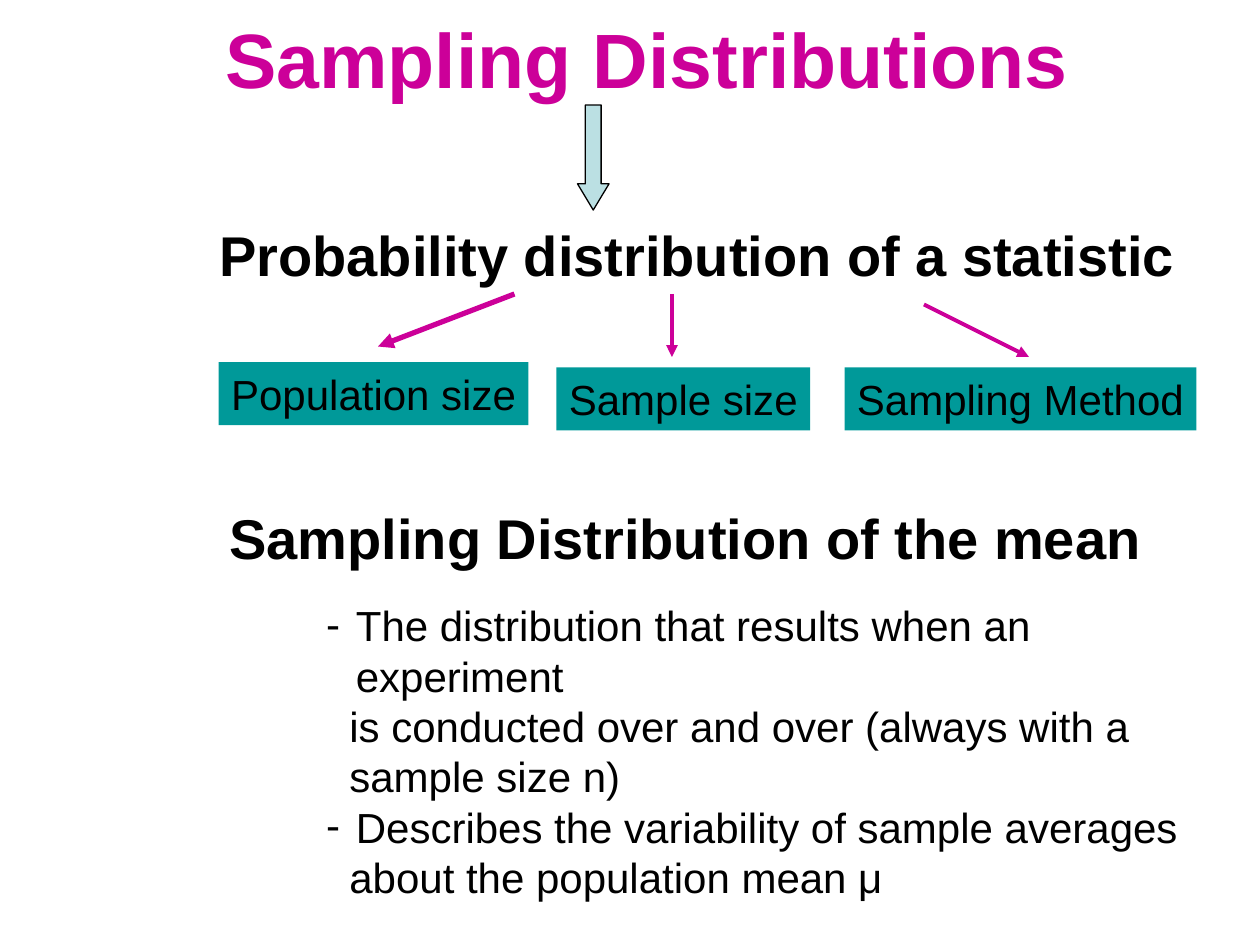
from lxml import etree
from pptx import Presentation
from pptx.dml.color import RGBColor
from pptx.enum.shapes import MSO_CONNECTOR, MSO_SHAPE
from pptx.enum.text import MSO_ANCHOR, MSO_AUTO_SIZE, PP_ALIGN
from pptx.oxml.ns import qn
from pptx.util import Pt

DOWN_ARROW, RECTANGLE = MSO_SHAPE.DOWN_ARROW, MSO_SHAPE.RECTANGLE
STRAIGHT = MSO_CONNECTOR.STRAIGHT
TOP, MIDDLE = MSO_ANCHOR.TOP, MSO_ANCHOR.MIDDLE
FIT_SHAPE = MSO_AUTO_SIZE.SHAPE_TO_FIT_TEXT
LEFT = PP_ALIGN.LEFT

COLORS = {
    "magenta": "CC0099",
    "teal": "009999",
    "pale": "BBE0E3",
    "black": "000000",
}


def color(name):
    return RGBColor.from_string(COLORS[name])


def write_line(paragraph, text, size, bold=False, color_name="black"):
    paragraph.text = text
    paragraph.alignment = LEFT
    paragraph.line_spacing = Pt(size * 1.2)
    font_format = {"name": "Arial", "size": Pt(size), "bold": bold}
    for attribute, value in font_format.items():
        setattr(paragraph.font, attribute, value)
    paragraph.font.color.rgb = color(color_name)


presentation = Presentation()
presentation.slide_width, presentation.slide_height = Pt(720), Pt(540)
slide = presentation.slides.add_slide(presentation.slide_layouts[6])
shapes = slide.shapes

# Title
title = shapes.add_textbox(Pt(36), Pt(0), Pt(660), Pt(66))
title_format = {"word_wrap": True, "vertical_anchor": MIDDLE, "margin_left": Pt(92.8)}
for attribute, value in title_format.items():
    setattr(title.text_frame, attribute, value)
write_line(title.text_frame.paragraphs[0], "Sampling Distributions", 44, True, "magenta")

# Headings
headings = [
    ("Probability distribution of a statistic", 118.2, 122.4, 561),
    ("Sampling Distribution of the mean", 124, 284.4, 536),
]
for text, left, top, width in headings:
    heading = shapes.add_textbox(Pt(left), Pt(top), Pt(width), Pt(46))
    heading.text_frame.word_wrap = False
    write_line(heading.text_frame.paragraphs[0], text, 32, True)

# Block arrow from the title to the first heading
block_arrow = shapes.add_shape(DOWN_ARROW, Pt(330), Pt(60), Pt(18), Pt(60))
block_arrow.shadow.inherit = False
block_arrow.adjustments[0] = 0.5
block_arrow.adjustments[1] = 0.83
block_arrow.fill.solid()
block_arrow.fill.fore_color.rgb = color("pale")
block_arrow.line.color.rgb = color("black")
block_arrow.line.width = Pt(0.75)

# Factors that the distribution depends on
factors = [
    ("Population size", 125, 207, 177),
    ("Sample size", 318, 210, 145),
    ("Sampling Method", 482.6, 210, 201),
]
for text, left, top, width in factors:
    factor = shapes.add_shape(RECTANGLE, Pt(left), Pt(top), Pt(width), Pt(36))
    factor.shadow.inherit = False
    factor.fill.solid()
    factor.fill.fore_color.rgb = color("teal")
    factor.line.fill.background()
    factor.text_frame.word_wrap = False
    factor.text_frame.vertical_anchor = MIDDLE
    write_line(factor.text_frame.paragraphs[0], text, 24)

# Arrows to the factors
arrows = [
    (294, 168, 216, 198, 3),
    (384, 168, 384, 204, 2.25),
    (528, 174, 588, 204, 2.25),
]
for start_x, start_y, end_x, end_y, weight in arrows:
    arrow = shapes.add_connector(STRAIGHT, Pt(start_x), Pt(start_y), Pt(end_x), Pt(end_y))
    arrow.line.color.rgb = color("magenta")
    arrow.line.width = Pt(weight)
    etree.SubElement(arrow.line._get_or_add_ln(), qn("a:tailEnd"), type="triangle")
    etree.SubElement(arrow._element.spPr, qn("a:effectLst"))

# Description of the sampling distribution of the mean
description_lines = [
    ("The distribution that results when an experiment", True),
    ("is conducted over and over (always with a", False),
    ("sample size n)", False),
    ("Describes the variability of sample averages", True),
    ("about the population mean μ", False),
]
description = shapes.add_textbox(Pt(179.3), Pt(339.1), Pt(540), Pt(180))
description_format = {"word_wrap": True, "auto_size": FIT_SHAPE, "vertical_anchor": TOP}
for attribute, value in description_format.items():
    setattr(description.text_frame, attribute, value)
for index, (text, bulleted) in enumerate(description_lines):
    frame = description.text_frame
    paragraph = frame.add_paragraph() if index else frame.paragraphs[0]
    properties = paragraph._p.get_or_add_pPr()
    properties.set("marL", str(Pt(17 if bulleted else 13.3)))
    properties.set("indent", str(Pt(-17 if bulleted else 0)))
    if bulleted:
        etree.SubElement(properties, qn("a:buFont"), typeface="Arial")
        etree.SubElement(properties, qn("a:buChar"), char="-")
    write_line(paragraph, text, 24)

presentation.save("out.pptx")
